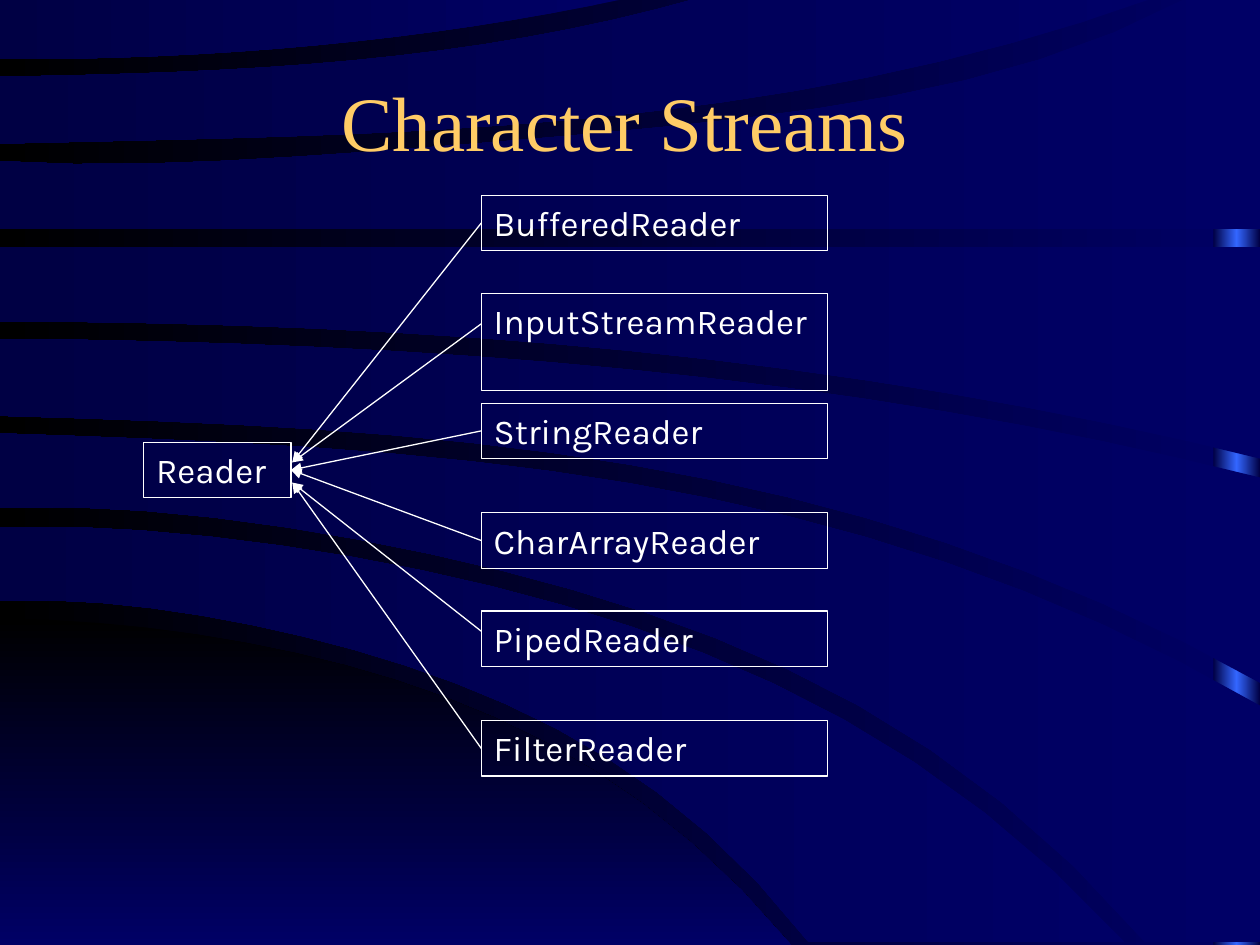
from copy import deepcopy
from math import prod
from pptx import Presentation
from pptx.dml.color import RGBColor
from pptx.enum.shapes import MSO_CONNECTOR as Connector, MSO_SHAPE as Shape
from pptx.enum.text import MSO_ANCHOR as Anchor, PP_ALIGN as Align
from pptx.oxml.ns import qn
from pptx.util import Inches, Pt

NAVY = RGBColor(0x00, 0x00, 0x66)
DEEP = RGBColor(0x00, 0x00, 0x44)
BLACK = RGBColor(0x00, 0x00, 0x00)
BLUE = RGBColor(0x33, 0x66, 0xFF)
WHITE = RGBColor(0xFF, 0xFF, 0xFF)
GOLD = RGBColor(0xFF, 0xCC, 0x66)

TITLE = "Character Streams"
ROOT = "Reader"
# name, top, height, arrow start y, arrow end y (None joins the middle of the side)
READERS = [
    ("BufferedReader", 1.55, 0.44, 3.67, None),
    ("InputStreamReader", 2.33, 0.77, 3.67, 2.57),
    ("StringReader", 3.2, 0.44, None, None),
    ("CharArrayReader", 4.07, 0.44, None, None),
    ("PipedReader", 4.85, 0.44, 3.83, 5.01),
    ("FilterReader", 5.72, 0.44, 3.83, None),
]
READER_LEFT, READER_WIDTH = 3.82, 2.75
ARROW_LEFT = 2.32
CURVE_STEPS = 16

CORNER = ([(0, 4.91), (1.65, 5.05), (3.27, 5.44), (4.95, 6.27), (6.28, 7.5)], [(0, 7.5)])
# upper edge, corner where the band leaves the page, lower edge
BANDS = [
    ([(0, 4.18), (2.49, 4.37), (4.72, 4.88), (6.87, 5.81), (8.93, 7.48)], [],
     [(0, 4.77), (1.85, 4.93), (3.42, 5.35), (4.92, 6.08), (6.42, 7.48)]),
    ([(0, 3.44), (3.43, 3.63), (6.93, 4.28), (10, 5.6)], [(10, 7.48)],
     [(0, 4.03), (2.67, 4.25), (5.21, 4.89), (7.2, 5.83), (9.09, 7.48)]),
    ([(0, 2.69), (3.49, 2.81), (6.62, 3.13), (10, 3.79)], [],
     [(0, 3.3), (3.51, 3.49), (7.11, 4.18), (10, 5.42)]),
    ([(0, 1.96), (10, 1.96)], [],
     [(0, 2.55), (3.32, 2.65), (6.62, 2.98), (10, 3.64)]),
    ([(0, 1.28), (2.86, 1.21), (5.54, 0.98), (8.03, 0.54), (9.43, -0.02)], [(10, -0.02)],
     [(0, 1.82), (10, 1.82)]),
    ([(0, 0.61), (2.33, 0.52), (4.16, 0.3), (5.56, -0.02)], [],
     [(0, 1.14), (3.09, 1.05), (6.14, 0.75), (9.17, -0.02)]),
    ([(0, -0.02), (5.01, -0.02)], [],
     [(0, 0.47), (2.02, 0.4), (3.46, 0.25), (5.01, -0.02)]),
]


def curve(knots):
    def height(x):
        return sum(y * prod((x - other) / (own - other) for other, _ in knots if other != own)
                   for own, y in knots)

    right = knots[-1][0]
    return [(right * step / CURVE_STEPS, height(right * step / CURVE_STEPS))
            for step in range(CURVE_STEPS + 1)]


def set_gradient(fill, colors, angle=180):
    fill.gradient()
    fill.gradient_angle = angle
    for stop, color in zip(fill.gradient_stops, colors):
        stop.color.rgb = color


def add_freeform(page, points, colors, angle=180):
    corners = [(Inches(x), Inches(y)) for x, y in points]
    builder = page.shapes.build_freeform(*corners[0])
    builder.add_line_segments(corners[1:], close=True)
    shape = builder.convert_to_shape()
    shape.shadow.inherit = False
    shape.line.fill.background()
    set_gradient(shape.fill, colors, angle)


def add_bar(page):
    bar = page.shapes.add_shape(Shape.RECTANGLE, Inches(9.63), 0, Inches(0.37), Inches(7.5))
    bar.shadow.inherit = False
    bar.line.fill.background()
    set_gradient(bar.fill, [DEEP, BLUE])
    stops = bar._element.spPr.find(".//" + qn("a:gsLst"))
    stops.append(deepcopy(stops[0]))
    for index, stop in enumerate(bar.fill.gradient_stops):
        stop.position = index / 2


def write(box, text, font="Karla", size=20, color=WHITE, align=Align.LEFT, anchor=Anchor.TOP):
    frame = box.text_frame
    frame.word_wrap = True
    frame.vertical_anchor = anchor
    para = frame.paragraphs[0]
    para.alignment = align
    span = para.add_run()
    span.text = text
    span.font.name, span.font.size, span.font.color.rgb = font, Pt(size), color


def add_box(page, text, left, top, width, height):
    box = page.shapes.add_shape(Shape.RECTANGLE, *map(Inches, (left, top, width, height)))
    box.shadow.inherit = False
    box.fill.background()
    box.line.color.rgb, box.line.width = WHITE, Pt(0.75)
    write(box, text)
    return box


def add_arrow(page, root, box, start, end):
    arrow = page.shapes.add_connector(
        Connector.STRAIGHT, Inches(ARROW_LEFT), Inches(start or 0), Inches(READER_LEFT), Inches(end or 0))
    if start is None:
        arrow.begin_connect(root, 3)
    if end is None:
        arrow.end_connect(box, 1)
    arrow.line.color.rgb, arrow.line.width = WHITE, Pt(0.75)
    outline = arrow._element.spPr
    line = outline.find(qn("a:ln"))
    line.append(line.makeelement(qn("a:headEnd"), {"type": "triangle"}))
    outline.append(outline.makeelement(qn("a:effectLst"), {}))


deck = Presentation()
deck.slide_width, deck.slide_height = Inches(10), Inches(7.5)
page = deck.slides.add_slide(deck.slide_layouts[6])
set_gradient(page.background.fill, [NAVY, BLACK])
add_bar(page)

edge, corner = CORNER
add_freeform(page, curve(edge) + corner, [BLACK, NAVY], angle=270)
for upper, corner, lower in BANDS:
    add_freeform(page, curve(upper) + corner + curve(lower)[::-1], [NAVY, DEEP])

title = page.shapes.add_textbox(Inches(1.42), Inches(0.5), Inches(7.08), Inches(0.92))
write(title, TITLE, font="Times New Roman", size=44, color=GOLD, align=Align.CENTER, anchor=Anchor.MIDDLE)

root = add_box(page, ROOT, 1.14, 3.51, 1.17, 0.44)
for name, top, height, start, end in READERS:
    box = add_box(page, name, READER_LEFT, top, READER_WIDTH, height)
    add_arrow(page, root, box, start, end)
deck.save("out.pptx")
